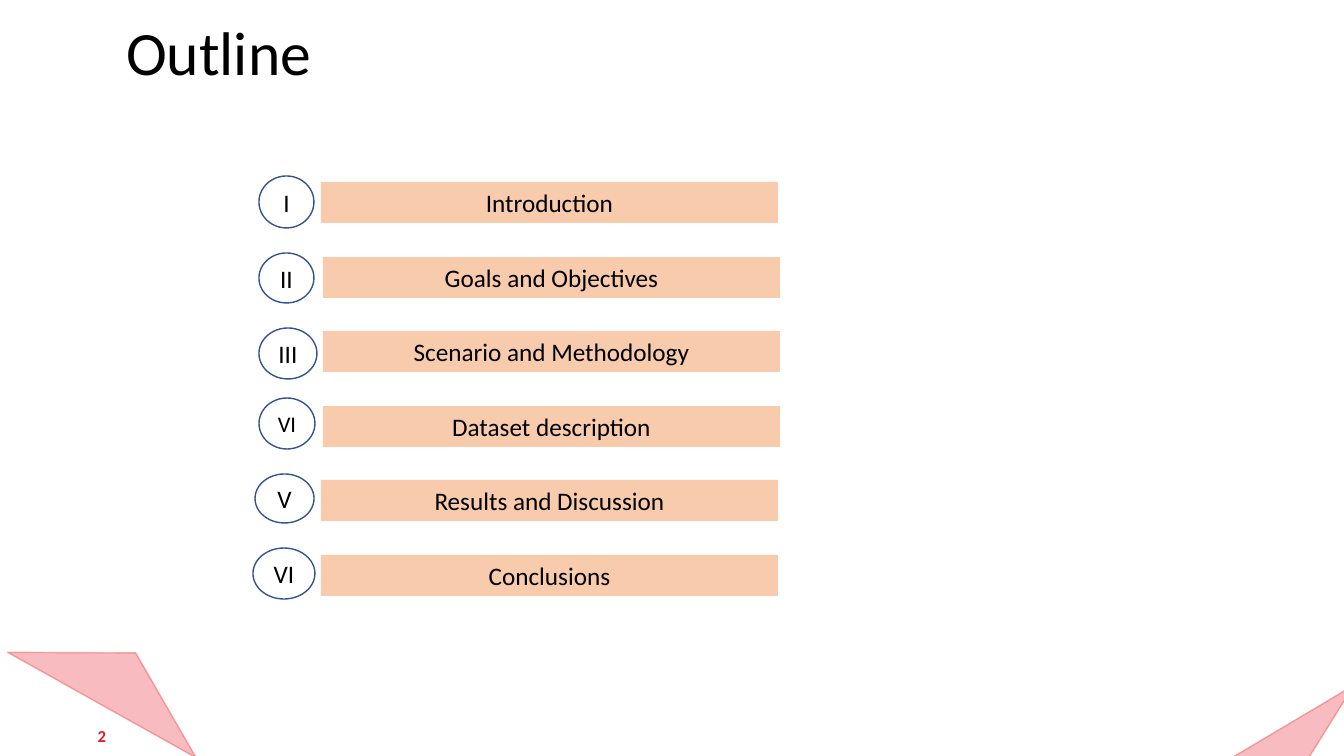
from lxml import etree
from pptx import Presentation
from pptx.dml.color import RGBColor
from pptx.enum import shapes, text
from pptx.oxml import ns
from pptx.util import Emu, Pt

PX = 914400 / 100.8
BLACK = RGBColor(0x00, 0x00, 0x00)
WHITE = RGBColor(0xFF, 0xFF, 0xFF)
RED = RGBColor(0xE5, 0x18, 0x29)
EDGE_RED = RGBColor(0xEC, 0x3A, 0x34)
BLUE = RGBColor(0x32, 0x54, 0x91)
PEACH = RGBColor(0xF8, 0xCB, 0xAD)


def px(*lengths):
    return [Emu(round(length * PX)) for length in lengths]


def write(frame, wording, size, color, align, anchor, bold=False):
    frame.vertical_anchor = anchor
    paragraph = frame.paragraphs[0]
    paragraph.alignment = align
    run = paragraph.add_run()
    run.text = wording
    run.font.name = "Calibri"
    run.font.size = Pt(size)
    run.font.bold = bold
    run.font.color.rgb = color


presentation = Presentation()
presentation.slide_width, presentation.slide_height = px(1344, 756)
slide = presentation.slides.add_slide(presentation.slide_layouts[5])

# Corner triangles: box, rotation, apex position
corners = [
    ((1265, 665, 74, 152), 48, 0.41),
    ((9, 647, 216, 62), 29.2, 0.519),
]
for box, rotation, apex in corners:
    triangle = slide.shapes.add_shape(shapes.MSO_SHAPE.ISOSCELES_TRIANGLE, *px(*box))
    triangle.rotation = rotation
    triangle.adjustments[0] = apex
    triangle.shadow.inherit = False
    triangle.fill.solid()
    triangle.fill.fore_color.rgb = RED
    triangle.line.color.rgb = EDGE_RED
    triangle.line.width = Pt(1)
    opacities = ("29000", "39000")
    for color, opacity in zip(triangle._element.spPr.iter(ns.qn("a:srgbClr")), opacities):
        etree.SubElement(color, ns.qn("a:alpha"), val=opacity)

title = slide.shapes.title
title.left, title.top, title.width, title.height = px(116, 0, 852, 112)
write(title.text_frame, "Outline", 44, BLACK, text.PP_ALIGN.LEFT, text.MSO_ANCHOR.MIDDLE)
title.text_frame.paragraphs[0].line_spacing = 0.9

page_number = slide.shapes.add_textbox(*px(59, 716, 57, 40))
page_number.text_frame.word_wrap = True
write(page_number.text_frame, "2", 12, RED, text.PP_ALIGN.RIGHT,
      text.MSO_ANCHOR.MIDDLE, bold=True)

# Numeral, numeral size, circle box, bar left, topic
topics = [
    ("I", 18, (259, 176, 55, 52), 321, "Introduction"),
    ("II", 18, (259, 253, 55, 50), 323, "Goals and Objectives"),
    ("III", 18, (259, 328, 58, 51), 323, "Scenario and Methodology"),
    ("VI", 16, (259, 398, 56, 51), 323, "Dataset description"),
    ("V", 18, (255, 474, 59, 49), 321, "Results and Discussion"),
    ("VI", 18, (253, 548, 62, 51), 321, "Conclusions"),
]
for row, (numeral, size, circle_box, bar_left, topic) in enumerate(topics):
    circle = slide.shapes.add_shape(shapes.MSO_SHAPE.FLOWCHART_CONNECTOR, *px(*circle_box))
    circle.shadow.inherit = False
    circle.fill.solid()
    circle.fill.fore_color.rgb = WHITE
    circle.line.color.rgb = BLUE
    circle.line.width = Pt(1)
    frame = circle.text_frame
    frame.margin_left = frame.margin_right = 0
    frame.word_wrap = False
    write(frame, numeral, size, BLACK, text.PP_ALIGN.CENTER, text.MSO_ANCHOR.MIDDLE)

    bar_top = 182 + round(row * 74.6)
    bar = slide.shapes.add_shape(shapes.MSO_SHAPE.RECTANGLE, *px(bar_left, bar_top, 457, 41))
    bar.shadow.inherit = False
    bar.fill.solid()
    bar.fill.fore_color.rgb = PEACH
    bar.line.fill.background()
    write(bar.text_frame, topic, 18, BLACK, text.PP_ALIGN.CENTER, text.MSO_ANCHOR.TOP)
    bar.text_frame.auto_size = text.MSO_AUTO_SIZE.SHAPE_TO_FIT_TEXT

presentation.save("out.pptx")
